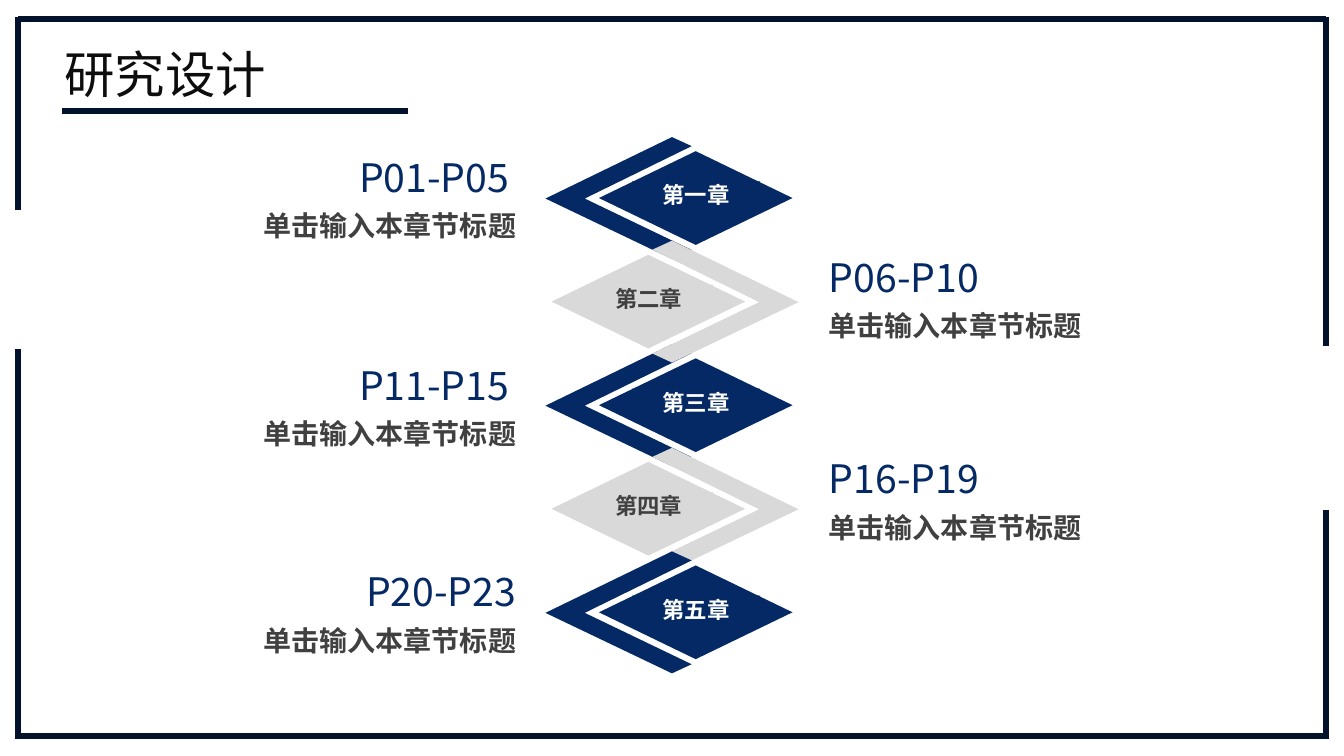
import pptx
import pptx.util
import pptx.dml.color
import pptx.enum.shapes
import pptx.enum.text
import pptx.oxml.ns
import lxml.etree

Inches = pptx.util.Inches
ALIGN = pptx.enum.text.PP_ALIGN
SHAPE = pptx.enum.shapes.MSO_SHAPE
FONT = "Noto Sans CJK SC"
NAVY, GREY, DARK, FRAME = "042964", "D9D9D9", "404040", "02122D"
W, H = 13.33, 7.5


def rgb(value):
    return pptx.dml.color.RGBColor.from_string(value)


def write(sp, text, size, color, align, bold=False):
    tf = sp.text_frame
    tf.margin_left = tf.margin_right = tf.margin_top = tf.margin_bottom = 0
    tf.word_wrap = True
    tf.auto_size = pptx.enum.text.MSO_AUTO_SIZE.NONE
    tf.vertical_anchor = pptx.enum.text.MSO_ANCHOR.MIDDLE
    p = tf.paragraphs[0]
    p.text = text
    p.alignment = align
    p.font.size = pptx.util.Pt(size)
    p.font.bold = bold
    p.font.color.rgb = rgb(color)
    p.font.name = FONT
    props = p._p.pPr.find(pptx.oxml.ns.qn("a:defRPr"))
    lxml.etree.SubElement(props, pptx.oxml.ns.qn("a:ea"), typeface=FONT)


prs = pptx.Presentation()
prs.slide_width, prs.slide_height = Inches(W), Inches(H)
s = prs.slides.add_slide(prs.slide_layouts[5])

title = s.shapes.title
title.left, title.top, title.width, title.height = map(Inches, (0.64, 0.42, 3.03, 0.62))
write(title, "研究设计", 36, "0D0D0D", ALIGN.LEFT)

left, right, top, bottom = 0.18, 13.15, 0.19, 7.3
rules = [
    (left, top, right, top),
    (left, 0.17, left, 2.08),
    (right, 0.17, right, 3.43),
    (right, bottom, left, bottom),
    (right, 7.33, right, 5.06),
    (left, 7.33, left, 3.46),
    (0.62, 1.1, 4.05, 1.1),
]
for ends in rules:
    line = s.shapes.add_connector(pptx.enum.shapes.MSO_CONNECTOR.STRAIGHT, *map(Inches, ends))
    line.line.color.rgb = rgb(FRAME)
    line.line.width = pptx.util.Pt(4.5)
    lxml.etree.SubElement(line._element.spPr, pptx.oxml.ns.qn("a:effectLst"))

entries = [
    ("P01-P05", 1.52, 5.05),
    ("P06-P10", 2.51, 8.22),
    ("P11-P15", 3.58, 5.05),
    ("P16-P19", 4.51, 8.22),
    ("P20-P23", 5.63, 5.12),
]
for i, (pages, y, edge) in enumerate(entries):
    on_left = i % 2 == 0
    align = ALIGN.RIGHT if on_left else ALIGN.LEFT
    x = edge - 2 if on_left else edge
    tb = s.shapes.add_textbox(*map(Inches, (x, y, 2, 0.47)))
    write(tb, pages, 28, NAVY, align)
    x = 2.21 if on_left else edge
    tb = s.shapes.add_textbox(*map(Inches, (x, y + 0.55, 2.91, 0.34)))
    write(tb, "单击输入本章节标题", 20, DARK, align, True)

first, last = 1.36, 5.47
pitch = (last - first) / 4
chevron = [(W / 2, 0), (6.86, 0.09), (5.8, 0.61), (6.86, 1.12), (W / 2, 1.21), (5.41, 0.61)]
chapters = [(0, "第一章"), (2, "第三章"), (3, "第四章"), (4, "第五章"), (1, "第二章")]
for row, name in chapters:
    mirrored = row % 2 == 1
    fill, ink = (GREY, DARK) if mirrored else (NAVY, "FFFFFF")
    y = first + row * pitch
    points = [(Inches(W - px if mirrored else px), Inches(y + py)) for px, py in chevron]
    fb = s.shapes.build_freeform(*points[0])
    fb.add_line_segments(points[1:], close=True)
    band = fb.convert_to_shape()
    x = W - 7.86 if mirrored else 5.94
    diamond = s.shapes.add_shape(SHAPE.FLOWCHART_DECISION, *map(Inches, (x, y + 0.14, 1.92, 0.93)))
    label = s.shapes.add_shape(SHAPE.RECTANGLE, *map(Inches, (x + 0.33, y + 0.44, 1.27, 0.27)))
    for sp in (band, diamond, label):
        sp.shadow.inherit = False
        sp.fill.solid()
        sp.fill.fore_color.rgb = rgb(fill)
        sp.line.fill.background()
    write(label, name, 16, ink, ALIGN.CENTER, True)

prs.save("out.pptx")
